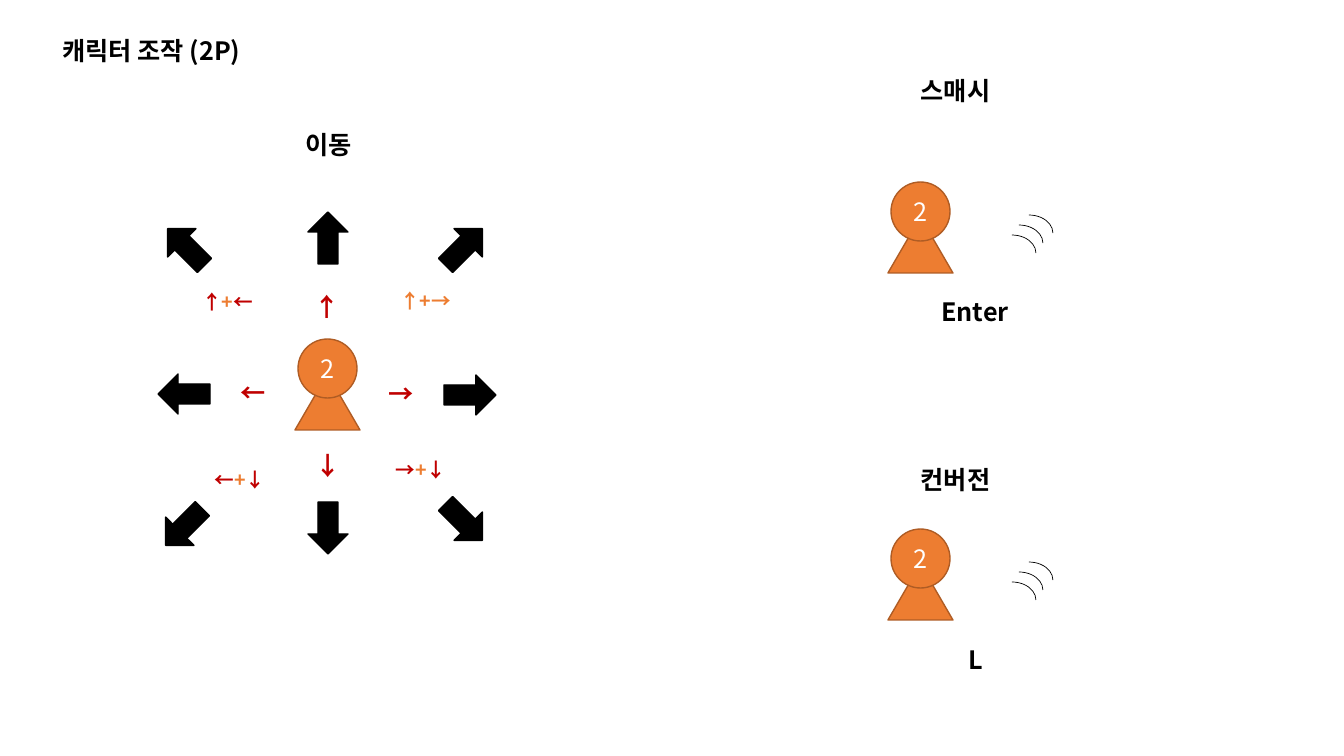
from pptx import Presentation
from pptx.dml.color import RGBColor
from pptx.enum.shapes import MSO_SHAPE as Shape
from pptx.enum.text import MSO_ANCHOR as Anchor, MSO_AUTO_SIZE as Auto, PP_ALIGN as Align
from pptx.util import Pt
from lxml.etree import SubElement
from pptx.oxml.ns import qn

PX = 914400 / 100.8
FACE = "Noto Sans CJK KR"
BLACK, WHITE, RED, ORANGE, BROWN = "000000", "FFFFFF", "C00000", "ED7D31", "AF5C24"


def draw(home, kind, box, fill, line, width=1):
    shape = home.add_shape(kind, *[round(n * PX) for n in box])
    shape.shadow.inherit = False
    if fill:
        shape.fill.solid()
        shape.fill.fore_color.rgb = RGBColor.from_string(fill)
    else:
        shape.fill.background()
    shape.line.color.rgb = RGBColor.from_string(line)
    shape.line.width = Pt(width)
    return shape


def write(shape, parts, size=18, bold=True, **form):
    for key, value in form.items():
        setattr(shape.text_frame, key, value)
    para = shape.text_frame.paragraphs[0]
    para.alignment = Align.CENTER
    for text, color in parts:
        run = para.add_run()
        run.text = text
        for key, value in {"size": Pt(size), "bold": bold, "name": FACE}.items():
            setattr(run.font, key, value)
        run.font.color.rgb = RGBColor.from_string(color)
        SubElement(run.font._element, qn("a:ea")).set("typeface", FACE)


deck = Presentation()
deck.slide_width, deck.slide_height = round(1344 * PX), round(756 * PX)
slide = deck.slides.add_slide(deck.slide_layouts[5])
shapes = slide.shapes
label = {"word_wrap": True, "auto_size": Auto.SHAPE_TO_FIT_TEXT, "vertical_anchor": Anchor.TOP}

title = shapes.title
for key, value in {"left": 11, "top": 30, "width": 281, "height": 40}.items():
    setattr(title, key, round(value * PX))
write(title, [("캐릭터 조작 (2P)", BLACK)], **label)

for x, y in [(295, 374), (888, 217), (888, 564)]:
    draw(shapes, Shape.ISOSCELES_TRIANGLE, (x, y, 65, 56), ORANGE, BROWN)
    head = draw(shapes, Shape.OVAL, (x + 3, y - 35, 59, 59), ORANGE, BROWN)
    write(head, [("2", WHITE)], bold=False, vertical_anchor=Anchor.MIDDLE)

moves = [(470, 395), (464, 522), (328, 528), (184, 527),
         (184, 394), (186, 247), (328, 238), (464, 247)]
for turn, (x, y) in enumerate(moves):
    arrow = draw(shapes, Shape.RIGHT_ARROW, (x - 26, y - 20, 52, 40), BLACK, BLACK)
    arrow.rotation = turn * 45

for y in (215, 562):
    wave = shapes.add_group_shape()
    for dx, dy in [(0, 20), (7, 10), (17, 0)]:
        draw(wave.shapes, Shape.ARC, (988 + dx, y + dy, 48, 36), None, BLACK, 0.5)

plus = ("+", ORANGE)
labels = [
    (271, 124, 115, 18, [("이동", BLACK)]),
    (898, 70, 115, 18, [("스매시", BLACK)]),
    (898, 459, 115, 18, [("컨버전", BLACK)]),
    (871, 291, 208, 18, [("Enter", BLACK)]),
    (951, 639, 49, 18, [("L", BLACK)]),
    (287, 286, 80, 18, [("↑", RED)]),
    (368, 373, 66, 18, [("→", RED)]),
    (295, 445, 66, 18, [("↓", RED)]),
    (220, 372, 66, 18, [("←", RED)]),
    (377, 284, 97, 14, [("↑+→", ORANGE)]),
    (377, 453, 88, 14, [("→", RED), plus, ("↓", RED)]),
    (196, 463, 88, 14, [("←", RED), plus, ("↓", RED)]),
    (179, 285, 97, 14, [("↑", RED), plus, ("←", RED)]),
]
for x, y, wide, size, parts in labels:
    high = 40 if size == 18 else 34
    box = shapes.add_textbox(*[round(n * PX) for n in (x, y, wide, high)])
    write(box, parts, size, **label)

deck.save("out.pptx")
